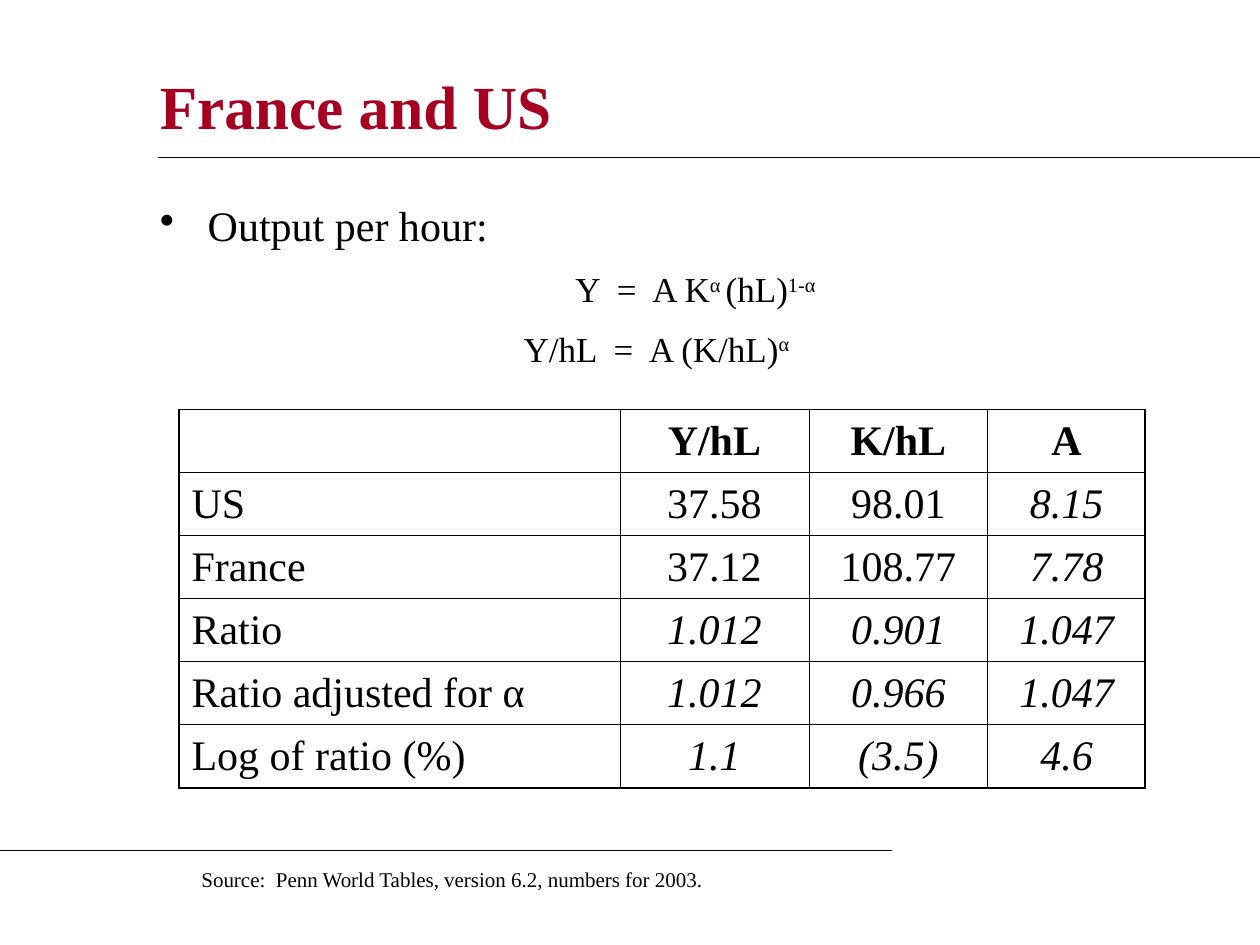
from lxml.etree import SubElement
from pptx import Presentation
from pptx.dml.color import RGBColor
from pptx.enum.shapes import MSO_CONNECTOR
from pptx.enum.text import MSO_ANCHOR as ANCHOR, PP_ALIGN as ALIGN
from pptx.oxml.ns import qn
from pptx.util import Inches, Pt

COLORS = {"title": "A50021", "ink": "000000"}
FONT = "Times New Roman"
COL_WIDTHS = [3.5, 1.5, 1.42, 1.25]
ROW_HEIGHT = 0.5
HEADERS = ["", "Y/hL", "K/hL", "A"]
ROWS = [
    ["US", "37.58", "98.01", "8.15"],
    ["France", "37.12", "108.77", "7.78"],
    ["Ratio", "1.012", "0.901", "1.047"],
    ["Ratio adjusted for α", "1.012", "0.966", "1.047"],
    ["Log of ratio (%)", "1.1", "(3.5)", "4.6"],
]
MEASURED_ROWS = 2


def rgb(name):
    return RGBColor.from_string(COLORS[name])


def add_run(p, text, size=24, color="ink", bold=False, italic=False, raised=False):
    r = p.add_run()
    r.text = text
    r.font.name = FONT
    r.font.size = Pt(size)
    r.font.bold = bold
    r.font.italic = italic
    r.font.color.rgb = rgb(color)
    if raised:
        r._r.get_or_add_rPr().set("baseline", "30000")


def add_text_box(slide, left, top, width, height, anchor=ANCHOR.TOP):
    sp = slide.shapes.add_textbox(*map(Inches, (left, top, width, height)))
    tf = sp.text_frame
    tf.word_wrap = True
    tf.vertical_anchor = anchor
    return tf


def set_bullet(p, indent):
    pPr = p._p.get_or_add_pPr()
    pPr.set("marL", str(Inches(indent)))
    pPr.set("indent", str(-Inches(indent)))
    SubElement(pPr, qn("a:buChar"), char="•")


def add_formula(tf, parts, left_margin=0):
    p = tf.add_paragraph()
    p.alignment = ALIGN.CENTER
    p.line_spacing = 0.9
    p.space_before = Pt(12.5)
    p._p.get_or_add_pPr().set("marL", str(Inches(left_margin)))
    for i, text in enumerate(parts):
        add_run(p, text, size=20, raised=i % 2 == 1)


def add_rule(slide, x1, x2, y):
    line = slide.shapes.add_connector(
        MSO_CONNECTOR.STRAIGHT, Inches(x1), Inches(y), Inches(x2), Inches(y))
    line.line.color.rgb = rgb("ink")
    line.line.width = Pt(0.75)
    SubElement(line._element.spPr, qn("a:effectLst"))


def set_borders(cell, outer_sides):
    tcPr = cell._tc.get_or_add_tcPr()
    for side in "LRTB":
        width = Pt(1.08 if side in outer_sides else 0.45)
        ln = SubElement(tcPr, qn(f"a:ln{side}"), w=str(width))
        fill = SubElement(ln, qn("a:solidFill"))
        SubElement(fill, qn("a:srgbClr"), val=COLORS["ink"])


def add_data_table(slide, left, top):
    data = [HEADERS] + ROWS
    n_rows, n_cols = len(data), len(HEADERS)
    table = slide.shapes.add_table(
        n_rows, n_cols, Inches(left), Inches(top),
        Inches(sum(COL_WIDTHS)), Inches(ROW_HEIGHT * n_rows)).table
    table.first_row = table.horz_banding = False
    for column, width in zip(table.columns, COL_WIDTHS):
        column.width = Inches(width)
    for i, values in enumerate(data):
        table.rows[i].height = Inches(ROW_HEIGHT)
        for j, value in enumerate(values):
            cell = table.cell(i, j)
            cell.vertical_anchor = ANCHOR.MIDDLE
            edges = {"L": j == 0, "R": j == n_cols - 1, "T": i == 0, "B": i == n_rows - 1}
            set_borders(cell, [side for side, outer in edges.items() if outer])
            cell.fill.background()
            if not value:
                continue
            p = cell.text_frame.paragraphs[0]
            p.alignment = ALIGN.CENTER if j else ALIGN.LEFT
            computed = i > 0 and j > 0 and (i > MEASURED_ROWS or j == n_cols - 1)
            add_run(p, value, bold=i == 0, italic=computed)


def main():
    prs = Presentation()
    prs.slide_width, prs.slide_height = Inches(10), Inches(7.5)
    slide = prs.slides.add_slide(prs.slide_layouts[6])

    title = add_text_box(slide, 1.17, 0.42, 8.25, 0.83, ANCHOR.MIDDLE)
    add_run(title.paragraphs[0], "France and US", size=35, color="title", bold=True)

    body = add_text_box(slide, 1.17, 1.58, 8.08, 1.5)
    p = body.paragraphs[0]
    p.line_spacing = 0.9
    set_bullet(p, 0.38)
    add_run(p, "Output per hour:")
    add_formula(body, ["Y  =  A K", "α ", "(hL)", "1-α"], left_margin=0.62)
    add_formula(body, ["Y/hL  =  A (K/hL)", "α"])

    add_rule(slide, 1.25, 10, 1.25)
    add_rule(slide, 0, 7.08, 6.75)
    add_data_table(slide, 1.42, 3.25)

    source = add_text_box(slide, 1.5, 6.83, 5.25, 0.3)
    add_run(source.paragraphs[0],
            "Source:  Penn World Tables, version 6.2, numbers for 2003.", size=12)

    prs.save("out.pptx")


if __name__ == "__main__":
    main()
